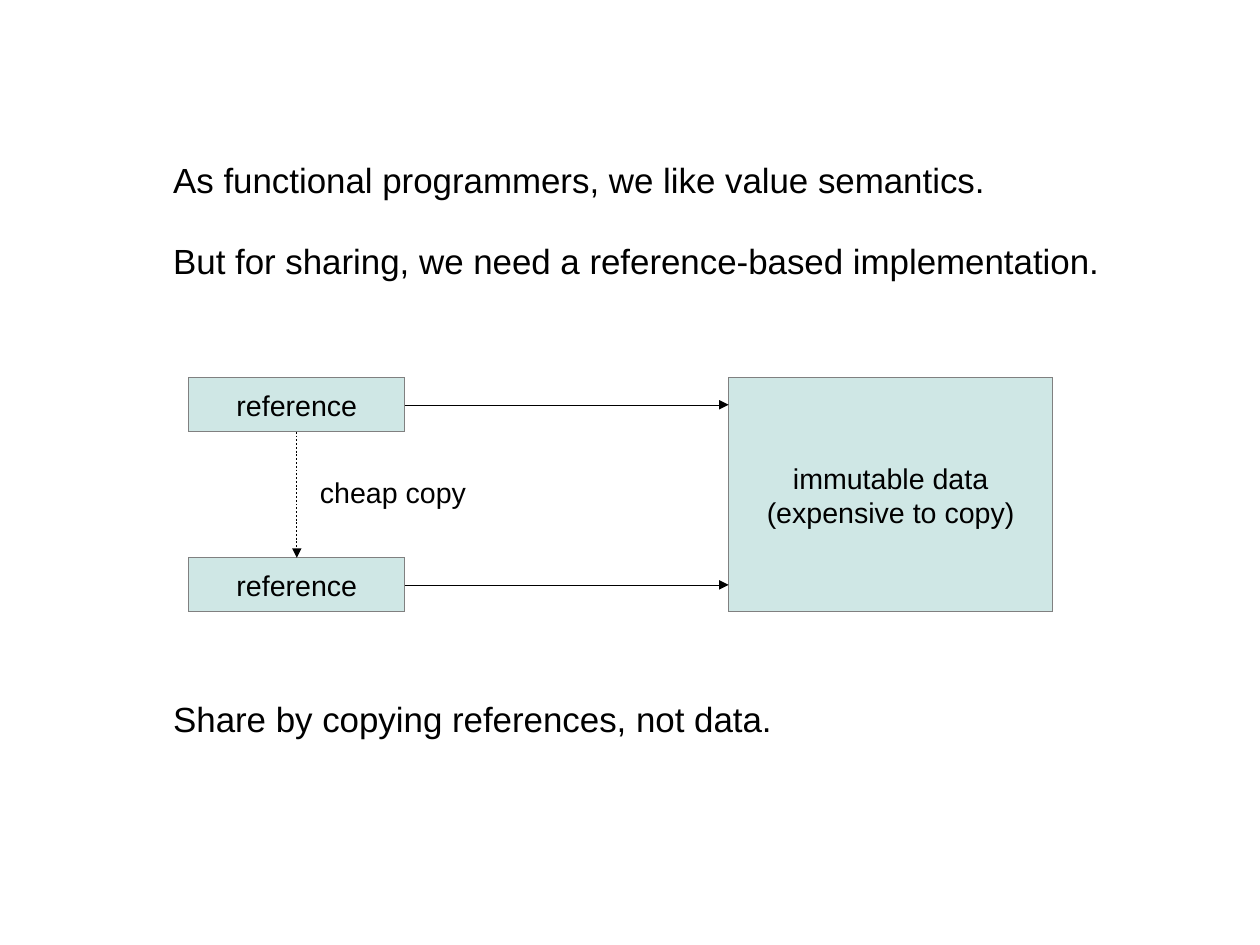
from dataclasses import dataclass

from lxml.etree import SubElement as sub
from pptx import Presentation
from pptx.dml.color import RGBColor as RGB
from pptx.enum.shapes import MSO_CONNECTOR as Link, MSO_SHAPE as Form
from pptx.enum.text import MSO_ANCHOR as Anchor, MSO_AUTO_SIZE as Fit, PP_ALIGN as Align
from pptx.oxml.ns import qn
from pptx.util import Pt


@dataclass(frozen=True)
class Theme:
    font: str = "Arial"
    ink: RGB = RGB(0, 0, 0)
    fill: RGB = RGB(0xCF, 0xE7, 0xE5)
    edge: RGB = RGB(0x80, 0x80, 0x80)
    body: int = 22
    label: int = 18
    hair: float = 0.01
    dots: float = 0.6


THEME = Theme()


def write(frame, lines, size, align):
    frame.word_wrap = False
    for i, line in enumerate(lines):
        para = frame.paragraphs[0] if i == 0 else frame.add_paragraph()
        para.alignment = align
        run = para.add_run()
        run.text = line
        run.font.name = THEME.font
        run.font.size = Pt(size)
        run.font.color.rgb = THEME.ink


def add_text(slide, text, left, top, width, height, size):
    box = slide.shapes.add_textbox(Pt(left), Pt(top), Pt(width), Pt(height))
    write(box.text_frame, [text], size, Align.LEFT)
    box.text_frame.auto_size = Fit.SHAPE_TO_FIT_TEXT


def add_box(slide, lines, left, top, width, height):
    box = slide.shapes.add_shape(
        Form.RECTANGLE, Pt(left), Pt(top), Pt(width), Pt(height))
    box.shadow.inherit = False
    box.fill.solid()
    box.fill.fore_color.rgb = THEME.fill
    box.line.color.rgb = THEME.edge
    box.line.width = Pt(THEME.hair)
    box.text_frame.vertical_anchor = Anchor.MIDDLE
    write(box.text_frame, lines, THEME.label, Align.CENTER)
    return box


def add_arrow(slide, x1, y1, x2, y2, dotted=False):
    arrow = slide.shapes.add_connector(
        Link.STRAIGHT, Pt(x1), Pt(y1), Pt(x2), Pt(y2))
    arrow.line.color.rgb = THEME.ink
    arrow.line.width = Pt(THEME.dots if dotted else THEME.hair)
    line = arrow._element.spPr.find(qn("a:ln"))
    if dotted:
        dash = sub(line, qn("a:custDash"))
        sub(dash, qn("a:ds"), d="200000", sp="200000")
    sub(line, qn("a:tailEnd"), type="triangle")
    sub(arrow._element.spPr, qn("a:effectLst"))
    return arrow


def main():
    deck = Presentation()
    deck.slide_width, deck.slide_height = Pt(793.7), Pt(595.28)
    slide = deck.slides.add_slide(deck.slide_layouts[6])

    for text, top, width in (
        ("As functional programmers, we like value semantics.", 96.3, 527),
        ("But for sharing, we need a reference-based implementation.", 147.2, 599),
        ("Share by copying references, not data.", 436.1, 392.4),
    ):
        add_text(slide, text, 102, top, width, 31.7, THEME.body)

    left, width, height = 119, 136, 34
    top, step, data_left = 238, 113.4, 459
    add_box(slide, ["immutable data", "(expensive to copy)"],
            data_left, top, 204, step + height)

    refs = []
    for row in range(2):
        y = top + row * step
        ref = add_box(slide, ["reference"], left, y, width, height)
        mid = y + height / 2
        arrow = add_arrow(slide, left + width, mid, data_left, mid)
        arrow.begin_connect(ref, 3)
        refs.append(ref)

    mid = left + width / 2
    down = add_arrow(slide, mid, top + height, mid, top + step, dotted=True)
    down.begin_connect(refs[0], 2)
    down.end_connect(refs[1], 0)
    add_text(slide, "cheap copy", 194.4, 295.5, 106.6, 27.4, THEME.label)

    deck.save("out.pptx")


if __name__ == "__main__":
    main()
